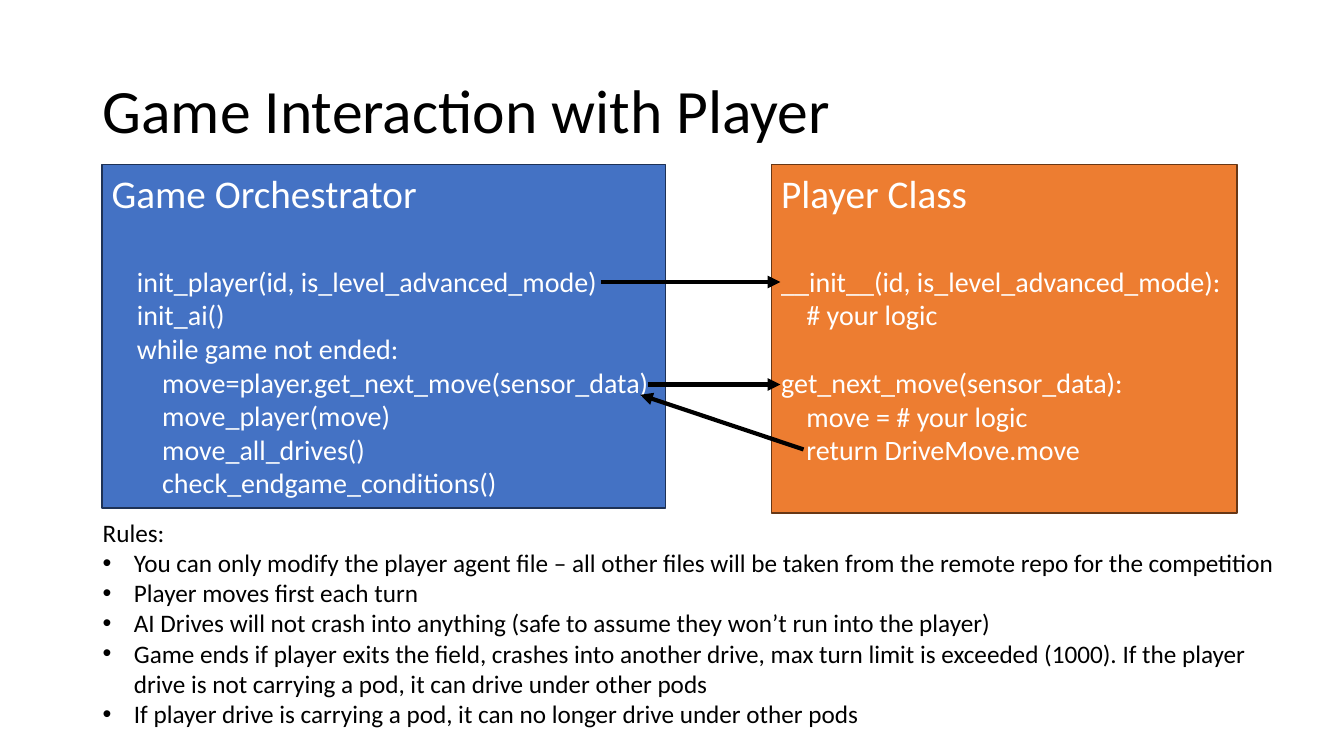
from lxml import etree
from pptx import Presentation
from pptx.dml.color import RGBColor
from pptx.enum.shapes import MSO_CONNECTOR, MSO_SHAPE
from pptx.enum.text import MSO_ANCHOR, PP_ALIGN
from pptx.oxml.ns import qn
from pptx.util import Inches, Pt

RECTANGLE = MSO_SHAPE.RECTANGLE
STRAIGHT = MSO_CONNECTOR.STRAIGHT
TOP, MIDDLE = MSO_ANCHOR.TOP, MSO_ANCHOR.MIDDLE
LEFT = PP_ALIGN.LEFT

COLORS = {
    "text": "000000", "panel text": "FFFFFF",
    "game": "4472C4", "game edge": "1E3256",
    "player": "ED7D31", "player edge": "683715",
}
FONT = "Calibri"

TITLE = "Game Interaction with Player"
# Code lines: (row, indent level, text)
PANELS = [
    {
        "name": "game", "left": 1.01, "width": 5.59, "height": 3.41,
        "heading": "Game Orchestrator",
        "code": [
            (0, 1, "init_player(id, is_level_advanced_mode)"),
            (1, 1, "init_ai()"),
            (2, 1, "while game not ended:"),
            (3, 2, "move=player.get_next_move(sensor_data)"),
            (4, 2, "move_player(move)"),
            (5, 2, "move_all_drives()"),
            (6, 2, "check_endgame_conditions()"),
        ],
    },
    {
        "name": "player", "left": 7.65, "width": 4.62, "height": 3.46,
        "heading": "Player Class",
        "code": [
            (0, 0, "__init__(id, is_level_advanced_mode):"),
            (1, 1, "# your logic"),
            (3, 0, "get_next_move(sensor_data):"),
            (4, 1, "move = # your logic"),
            (5, 1, "return DriveMove.move"),
        ],
    },
]
# Arrow ends: (x in inches, code row)
ARROWS = [
    ((5.96, 0), (7.74, 0)),
    ((7.97, 4.9), (6.35, 3.3)),
    ((6.43, 3), (7.74, 3)),
]
RULES_HEADING = "Rules:"
RULES = [
    "You can only modify the player agent file – all other files will be taken "
    "from the remote repo for the competition",
    "Player moves first each turn",
    "AI Drives will not crash into anything (safe to assume they won’t run into the player)",
    "Game ends if player exits the field, crashes into another drive, max turn limit is "
    "exceeded (1000). If the player drive is not carrying a pod, it can drive under other pods",
    "If player drive is carrying a pod, it can no longer drive under other pods",
]

TITLE_SIZE, HEADING_SIZE, CODE_SIZE, RULE_SIZE = 44, 28, 20, 18
LINE_RATIO = 1.22
HEADING_HEIGHT = HEADING_SIZE * LINE_RATIO
ROW_HEIGHT = CODE_SIZE * LINE_RATIO
PANEL_TOP = 1.63
CODE_INDENT, BULLET_INDENT = 0.25, 0.31


def color(name):
    return RGBColor.from_string(COLORS[name])


def row_middle(row):
    """Slide height, in inches, of the middle of a code row."""
    return PANEL_TOP + 0.05 + (2 * HEADING_HEIGHT + (row + 0.5) * ROW_HEIGHT) / 72


def add_line(frame, text, size, color_name, gap=0):
    """Write the next paragraph, using the frame's first one while it is empty."""
    para = frame.paragraphs[0] if not frame.text else frame.add_paragraph()
    para.text = text
    para.alignment = LEFT
    para.space_before = Pt(gap)
    para.font.name = FONT
    para.font.size = Pt(size)
    para.font.color.rgb = color(color_name)
    return para


def indent(para, left, first=0):
    properties = para._p.get_or_add_pPr()
    properties.set("marL", str(Inches(left)))
    properties.set("indent", str(Inches(first)))
    return properties


def add_text_box(page, left, top, width, height):
    frame = page.shapes.add_textbox(*map(Inches, (left, top, width, height))).text_frame
    frame.word_wrap = True
    return frame


def add_panel(page, panel):
    box = page.shapes.add_shape(RECTANGLE, *map(
        Inches, (panel["left"], PANEL_TOP, panel["width"], panel["height"])))
    box.shadow.inherit = False
    box.fill.solid()
    box.fill.fore_color.rgb = color(panel["name"])
    box.line.color.rgb = color(panel["name"] + " edge")
    box.line.width = Pt(1)
    frame = box.text_frame
    frame.word_wrap = True
    frame.vertical_anchor = TOP
    add_line(frame, panel["heading"], HEADING_SIZE, "panel text")
    gap, next_row = HEADING_HEIGHT, 0
    for row, level, text in panel["code"]:
        gap += (row - next_row) * ROW_HEIGHT
        indent(add_line(frame, text, CODE_SIZE, "panel text", gap), level * CODE_INDENT)
        gap, next_row = 0, row + 1


def add_arrow(page, start, end):
    points = [Inches(value) for x, row in (start, end) for value in (x, row_middle(row))]
    arrow = page.shapes.add_connector(STRAIGHT, *points)
    arrow.line.color.rgb = color("text")
    arrow.line.width = Pt(3)
    etree.SubElement(arrow.line._get_or_add_ln(), qn("a:tailEnd"), type="triangle")
    etree.SubElement(arrow._element.spPr, qn("a:effectLst"))


def add_rules(page):
    frame = add_text_box(page, 0.92, 5.08, 11.96, 2.52)
    add_line(frame, RULES_HEADING, RULE_SIZE, "text")
    for rule in RULES:
        properties = indent(add_line(frame, rule, RULE_SIZE, "text"),
                            BULLET_INDENT, -BULLET_INDENT)
        bullet_font = etree.Element(qn("a:buFont"), typeface="Arial")
        bullet = etree.Element(qn("a:buChar"), char="•")
        place = list(properties).index(properties.find(qn("a:defRPr")))
        properties.insert(place, bullet_font)
        properties.insert(place + 1, bullet)


def main():
    deck = Presentation()
    deck.slide_width, deck.slide_height = Inches(13.33), Inches(7.5)
    page = deck.slides.add_slide(deck.slide_layouts[6])
    title = add_text_box(page, 0.92, 0.4, 11.5, 1.45)
    title.vertical_anchor = MIDDLE
    add_line(title, TITLE, TITLE_SIZE, "text").line_spacing = 0.9
    for panel in PANELS:
        add_panel(page, panel)
    for start, end in ARROWS:
        add_arrow(page, start, end)
    add_rules(page)
    deck.save("out.pptx")


if __name__ == "__main__":
    main()
